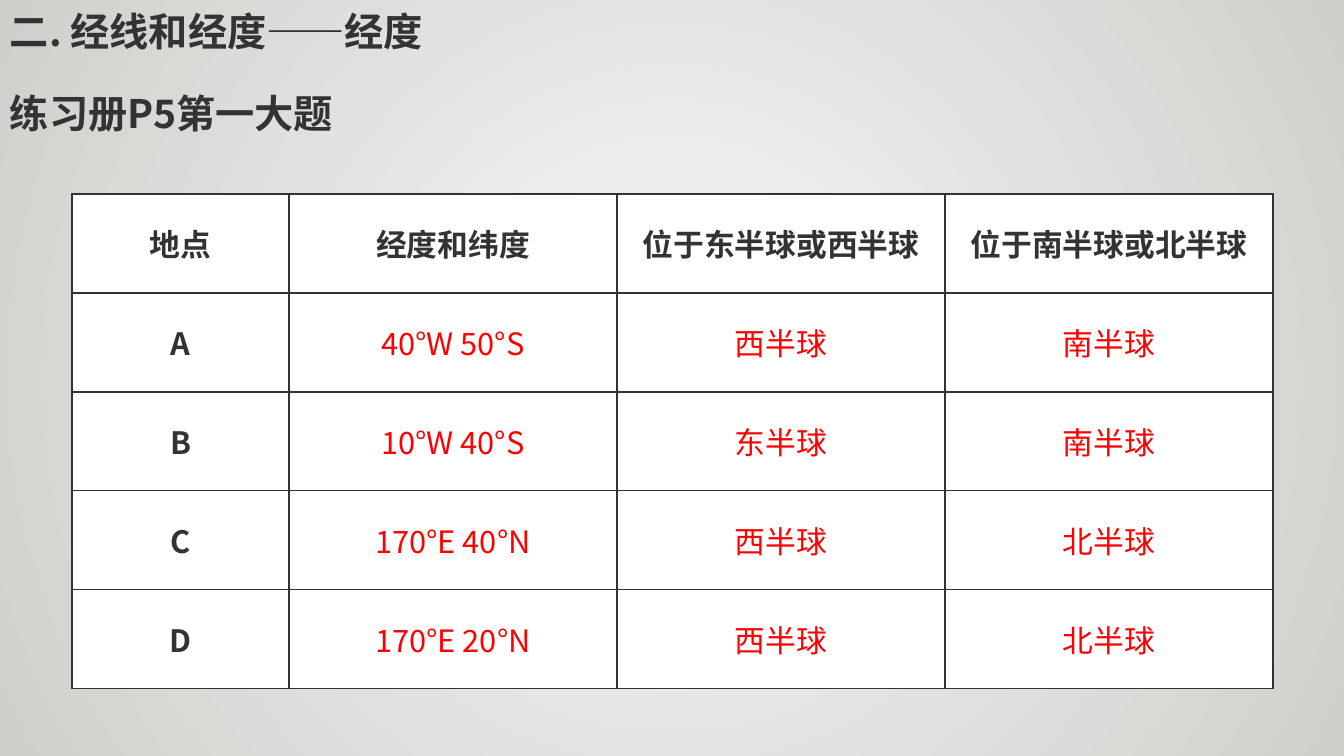
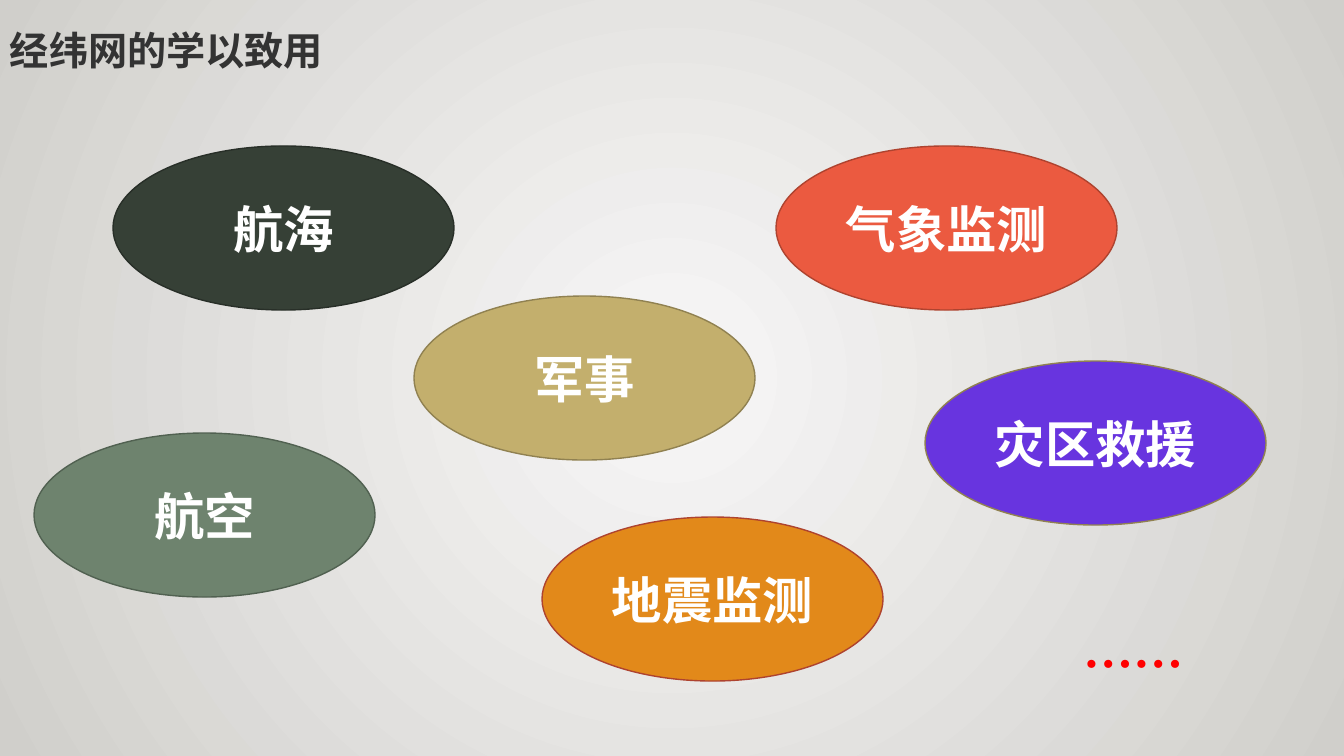
from lxml import etree
from pptx import Presentation, util as u
from pptx.dml.color import RGBColor
from pptx.enum import shapes, text
from pptx.oxml.ns import qn

SCALE = 914400 / 100.8
FONT = "Noto Sans CJK SC"
INK = RGBColor(0x33, 0x33, 0x33)
WHITE = RGBColor(0xFF, 0xFF, 0xFF)
RED = RGBColor(0xFF, 0x00, 0x00)
GLOW = RGBColor(0xF8, 0xF7, 0xF7)
STONE = RGBColor(0xD0, 0xCF, 0xCB)
PINE = RGBColor(0x36, 0x40, 0x36)
PINE_EDGE = RGBColor(0x28, 0x2F, 0x28)
SAGE = RGBColor(0x6E, 0x83, 0x6E)
SAGE_EDGE = RGBColor(0x51, 0x61, 0x51)
SAND = RGBColor(0xC3, 0xAF, 0x6D)
SAND_EDGE = RGBColor(0x90, 0x81, 0x51)
CORAL = RGBColor(0xEB, 0x5A, 0x40)
CORAL_EDGE = RGBColor(0xAE, 0x43, 0x2F)
ORANGE = RGBColor(0xE2, 0x89, 0x1A)
VIOLET = RGBColor(0x68, 0x34, 0xDF)

TITLE = {"size": u.Pt(28), "bold": True}
HEADING = {"size": u.Pt(22), "bold": True}
ANSWER = {"size": u.Pt(22), "bold": False}
LABEL = {"size": u.Pt(36), "bold": True}

PLACES = [
    ("地点", "经度和纬度", "位于东半球或西半球", "位于南半球或北半球"),
    ("A", "40°W 50°S", "西半球", "南半球"),
    ("B", "10°W 40°S", "东半球", "南半球"),
    ("C", "170°E 40°N", "西半球", "北半球"),
    ("D", "170°E 20°N", "西半球", "北半球"),
]
USES = [
    ("航海", 113, 146, PINE, PINE_EDGE),
    ("航空", 34, 433, SAGE, SAGE_EDGE),
    ("军事", 414, 296, SAND, SAND_EDGE),
    ("气象监测", 776, 146, CORAL, CORAL_EDGE),
    ("地震监测", 542, 517, ORANGE, CORAL_EDGE),
    ("灾区救援", 925, 361, VIOLET, SAND_EDGE),
]


def px(*lengths):
    return [u.Emu(round(length * SCALE)) for length in lengths]


def write(frame, words, style, color, align=text.PP_ALIGN.CENTER, spacing=None):
    para = frame.paragraphs[0]
    para.alignment = align
    para.line_spacing = spacing
    span = para.add_run()
    span.text = words
    for name, value in {"name": FONT, **style}.items():
        setattr(span.font, name, value)
    span.font.color.rgb = color
    east_asian = etree.SubElement(span.font._element, qn("a:ea"))
    east_asian.set("typeface", FONT)


def add_text(page, box, words, style, color, **layout):
    frame = page.shapes.add_textbox(*px(*box)).text_frame
    frame.word_wrap = True
    frame.auto_size = text.MSO_AUTO_SIZE.SHAPE_TO_FIT_TEXT
    write(frame, words, style, color, **layout)


def add_title(page, box, words, spacing=None):
    add_text(page, box, words, TITLE, INK, align=text.PP_ALIGN.LEFT, spacing=spacing)


def paint_background(master):
    fill = master.background.fill
    fill.gradient()
    for stop, color in zip(fill.gradient_stops, (GLOW, STONE)):
        stop.color.rgb = color
    gradient = master.element.find(".//" + qn("a:gradFill"))
    gradient.remove(gradient.find(qn("a:lin")))
    circle = etree.SubElement(gradient, qn("a:path"), {"path": "circle"})
    center = dict.fromkeys("ltrb", "50000")
    etree.SubElement(circle, qn("a:fillToRect"), center)


def add_borders(cell):
    properties = cell._tc.get_or_add_tcPr()
    for index, side in enumerate(("lnL", "lnR", "lnT", "lnB")):
        line = etree.Element(qn("a:" + side), {"w": str(u.Pt(1))})
        solid = etree.SubElement(line, qn("a:solidFill"))
        etree.SubElement(solid, qn("a:srgbClr"), {"val": str(INK)})
        properties.insert(index, line)


def add_places_table(page, left, top, widths, row_height):
    size = px(left, top, sum(widths), row_height * len(PLACES))
    table = page.shapes.add_table(len(PLACES), len(widths), *size).table
    table.horz_banding = False
    for column, width in zip(table.columns, px(*widths)):
        column.width = width
    for r, values in enumerate(PLACES):
        table.rows[r].height = px(row_height)[0]
        for c, words in enumerate(values):
            cell = table.cell(r, c)
            cell.fill.solid()
            cell.fill.fore_color.rgb = WHITE
            cell.vertical_anchor = text.MSO_ANCHOR.MIDDLE
            style, color = (ANSWER, RED) if r and c else (HEADING, INK)
            write(cell.text_frame, words, style, color)
            add_borders(cell)


def add_use(page, box, words, fill, edge):
    oval = page.shapes.add_shape(shapes.MSO_SHAPE.OVAL, *px(*box))
    oval.shadow.inherit = False
    oval.fill.solid()
    oval.fill.fore_color.rgb = fill
    oval.line.color.rgb = edge
    oval.line.width = u.Pt(1)
    oval.text_frame.word_wrap = True
    oval.text_frame.vertical_anchor = text.MSO_ANCHOR.MIDDLE
    write(oval.text_frame, words, LABEL, WHITE)


def build_exercise(page):
    add_title(page, (0, 2, 569, 57), "二. 经线和经度——经度")
    add_title(page, (0, 73, 1362, 70), "练习册P5第一大题", spacing=1.25)
    add_places_table(page, 72, 194, (217, 328, 328, 328), 99)


def build_uses(page):
    add_title(page, (0, 21, 361, 57), "经纬网的学以致用")
    for words, left, top, fill, edge in USES:
        add_use(page, (left, top, 341, 164), words, fill, edge)
    add_text(page, (1030, 628, 208, 72), "……", LABEL, RED)


def main():
    deck = Presentation()
    deck.slide_width, deck.slide_height = px(1344, 756)
    paint_background(deck.slide_master)
    for build in (build_exercise, build_uses):
        build(deck.slides.add_slide(deck.slide_layouts[6]))
    deck.save("out.pptx")


if __name__ == "__main__":
    main()
